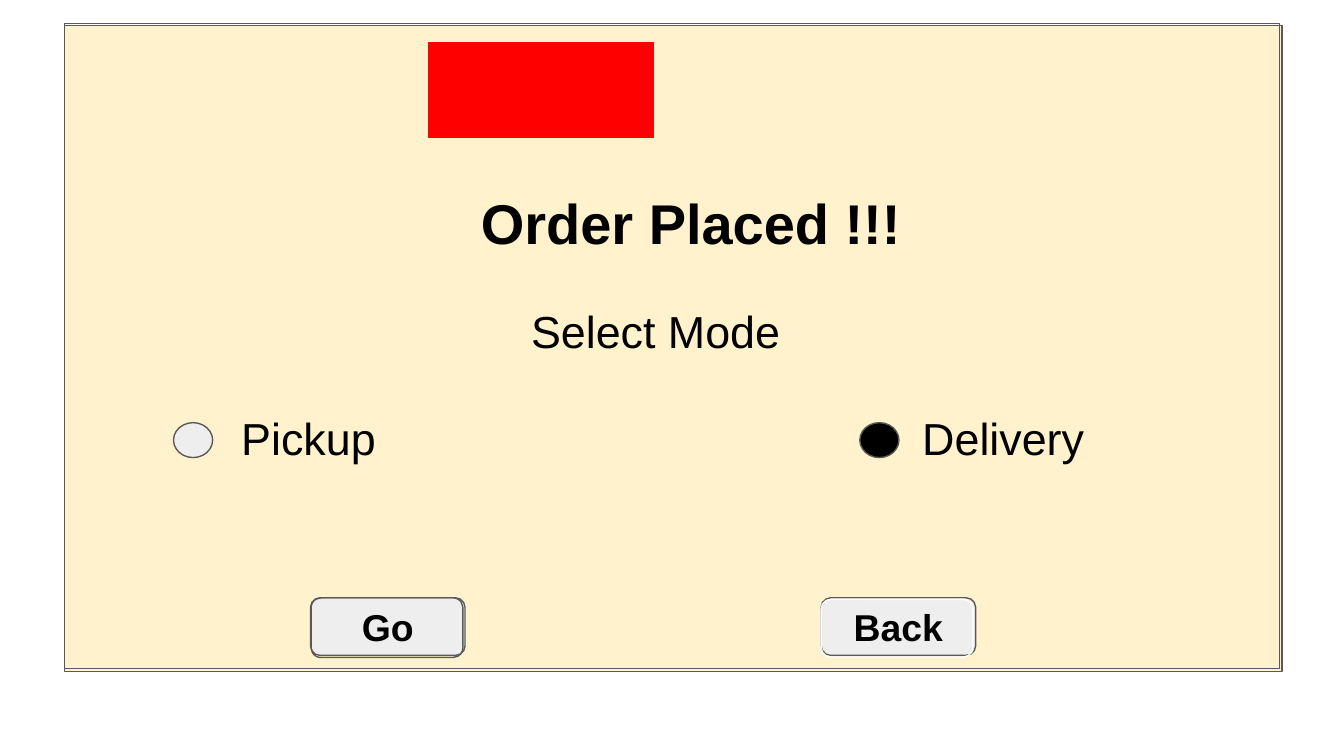
import pptx
import pptx.util
import pptx.dml.color
import pptx.enum.shapes
import pptx.enum.text

Cm = pptx.util.Cm
Shapes = pptx.enum.shapes.MSO_SHAPE
Align = pptx.enum.text.PP_ALIGN
Anchor = pptx.enum.text.MSO_ANCHOR


def color(value):
    return pptx.dml.color.RGBColor.from_string(value)


def write(shape, text, size, bold=False, align=Align.CENTER):
    frame = shape.text_frame
    frame.word_wrap = True
    frame.vertical_anchor = Anchor.MIDDLE
    frame.margin_left = frame.margin_right = Cm(0.25)
    frame.margin_top = frame.margin_bottom = Cm(0.25)
    paragraph = frame.paragraphs[0]
    paragraph.text = text
    paragraph.alignment = align
    paragraph.font.name = "Arial"
    paragraph.font.size = pptx.util.Pt(size)
    paragraph.font.bold = bold
    paragraph.font.color.rgb = color("000000")


presentation = pptx.Presentation()
presentation.slide_width = Cm(25.4)
presentation.slide_height = Cm(14.29)
slide = presentation.slides.add_slide(presentation.slide_layouts[6])

panel, button, radio = Shapes.RECTANGLE, Shapes.ROUNDED_RECTANGLE, Shapes.OVAL
for kind, left, top, width, height, fill, line, label in [
    (panel, 1.22, 0.48, 23.01, 12.22, "FFF2CC", "595959", None),
    (panel, 8.1, 0.8, 4.25, 1.8, "FF0000", "FF0000", None),
    (button, 5.87, 11.3, 2.92, 1.09, "EEEEEE", "595959", "Go"),
    (button, 15.52, 11.3, 2.92, 1.09, "EEEEEE", "595959", "Back"),
    (panel, 1.22, 0.45, 22.96, 12.19, None, "595959", None),
    (radio, 3.28, 7.99, 0.74, 0.66, "EEEEEE", "595959", None),
    (radio, 16.25, 7.99, 0.74, 0.66, "000000", "595959", None),
    (button, 5.88, 11.3, 2.87, 1.13, None, "595959", None),
    (button, 15.52, 11.33, 2.87, 1.09, None, "FFFFFF", None),
]:
    shape = slide.shapes.add_shape(kind, Cm(left), Cm(top), Cm(width), Cm(height))
    shape.shadow.inherit = False
    if fill:
        shape.fill.solid()
        shape.fill.fore_color.rgb = color(fill)
    else:
        shape.fill.background()
    shape.line.color.rgb = color(line)
    shape.line.width = pptx.util.Pt(0.75)
    if label:
        write(shape, label, 20, bold=True)

for text, left, top, width, height, size, bold, align in [
    ("Order Placed !!!", 8.55, 3.54, 9.02, 1.32, 30, True, Align.CENTER),
    ("Select Mode", 2.66, 5.49, 19.46, 1.5, 24, False, Align.CENTER),
    ("Pickup", 4.31, 7.52, 4, 1.5, 24, False, Align.LEFT),
    ("Delivery", 17.18, 7.52, 4, 1.5, 24, False, Align.LEFT),
]:
    box = slide.shapes.add_textbox(Cm(left), Cm(top), Cm(width), Cm(height))
    write(box, text, size, bold=bold, align=align)

presentation.save("out.pptx")
